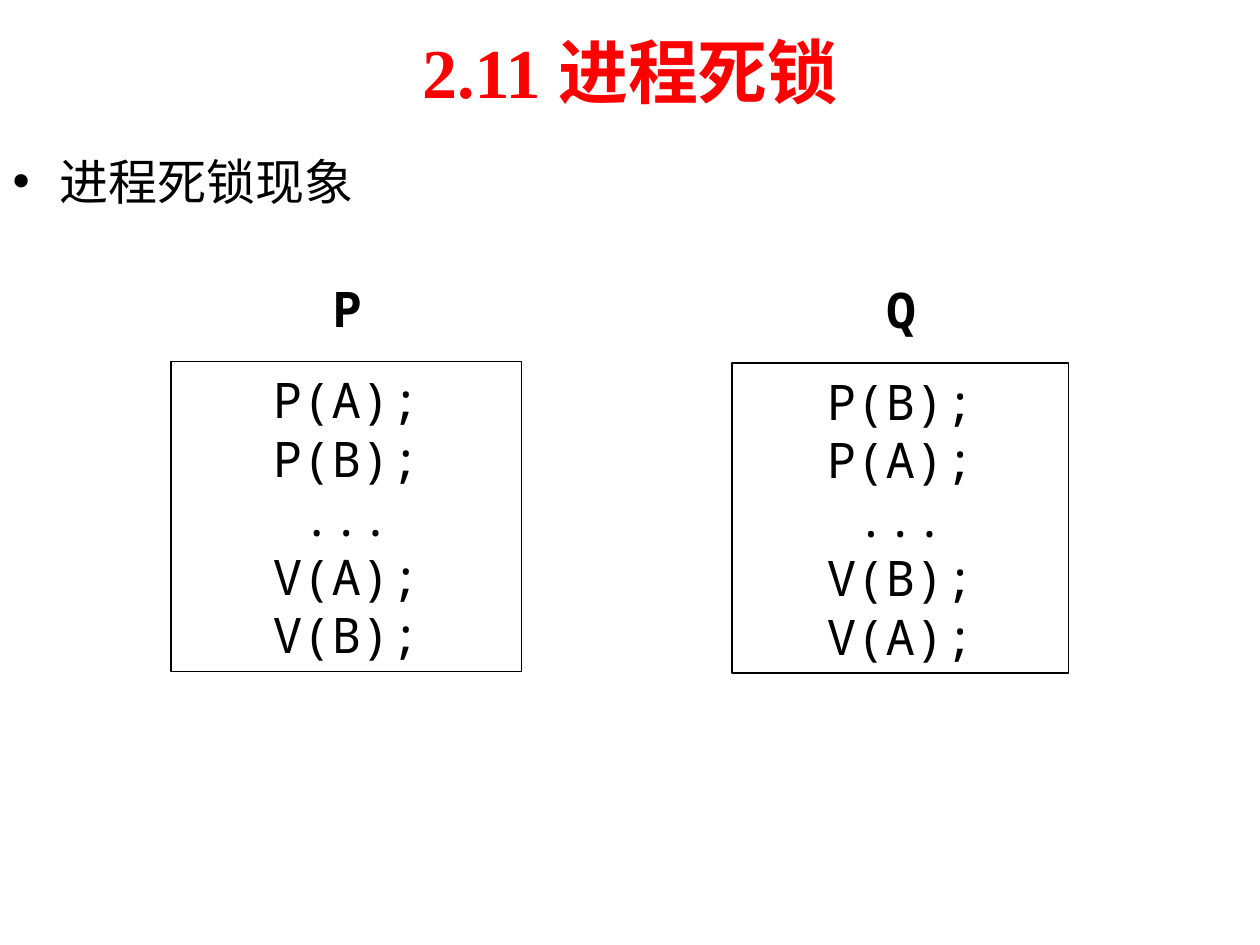
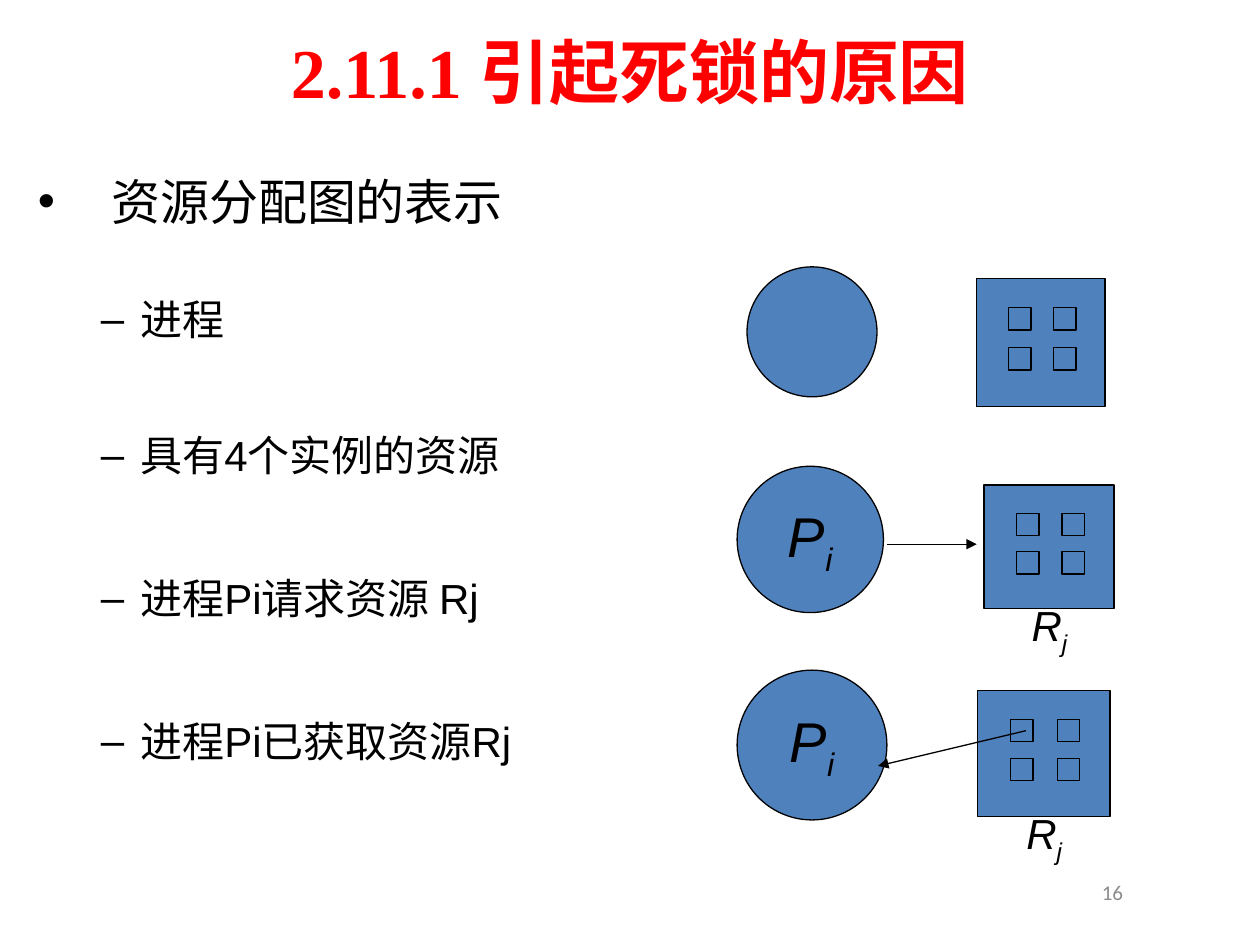
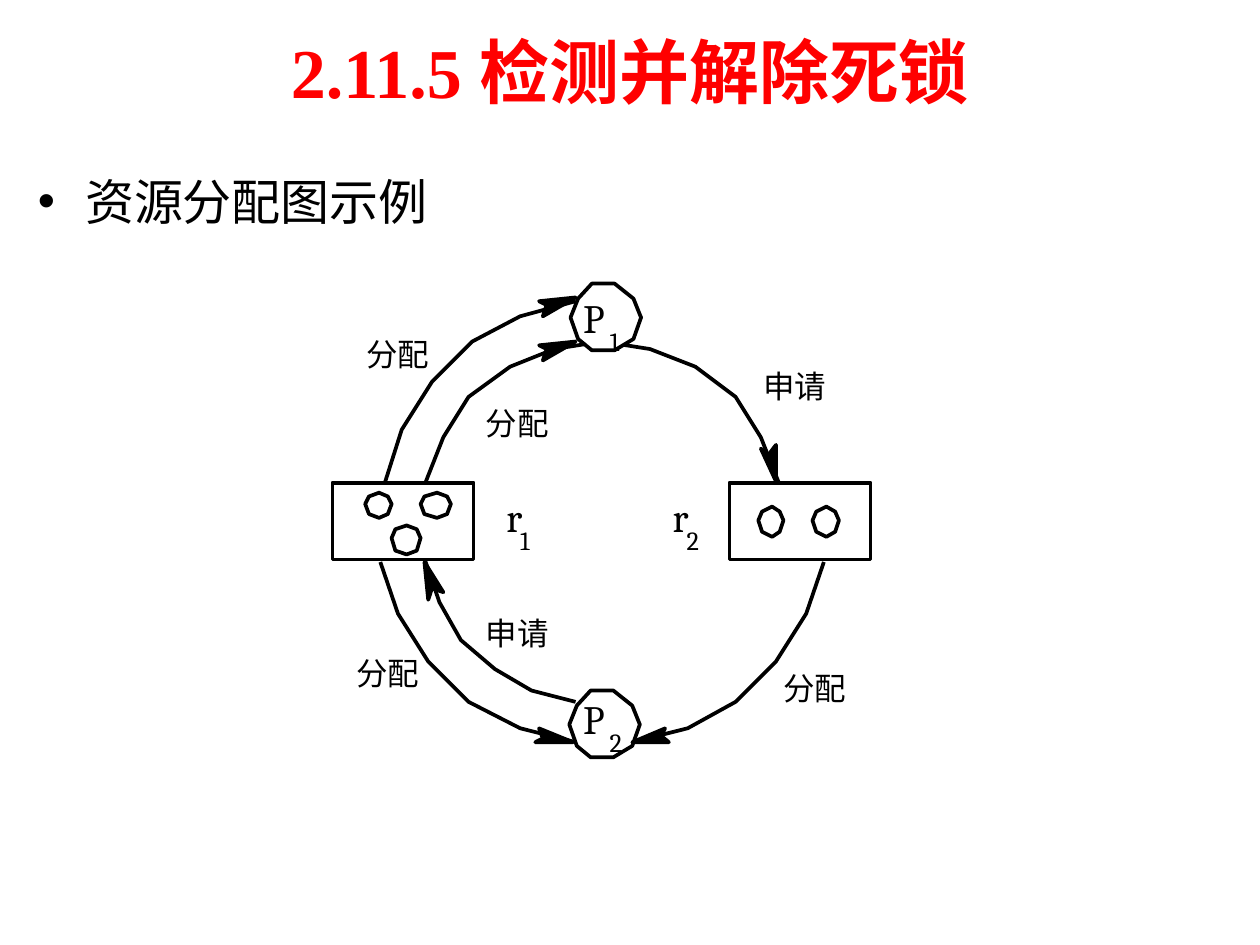
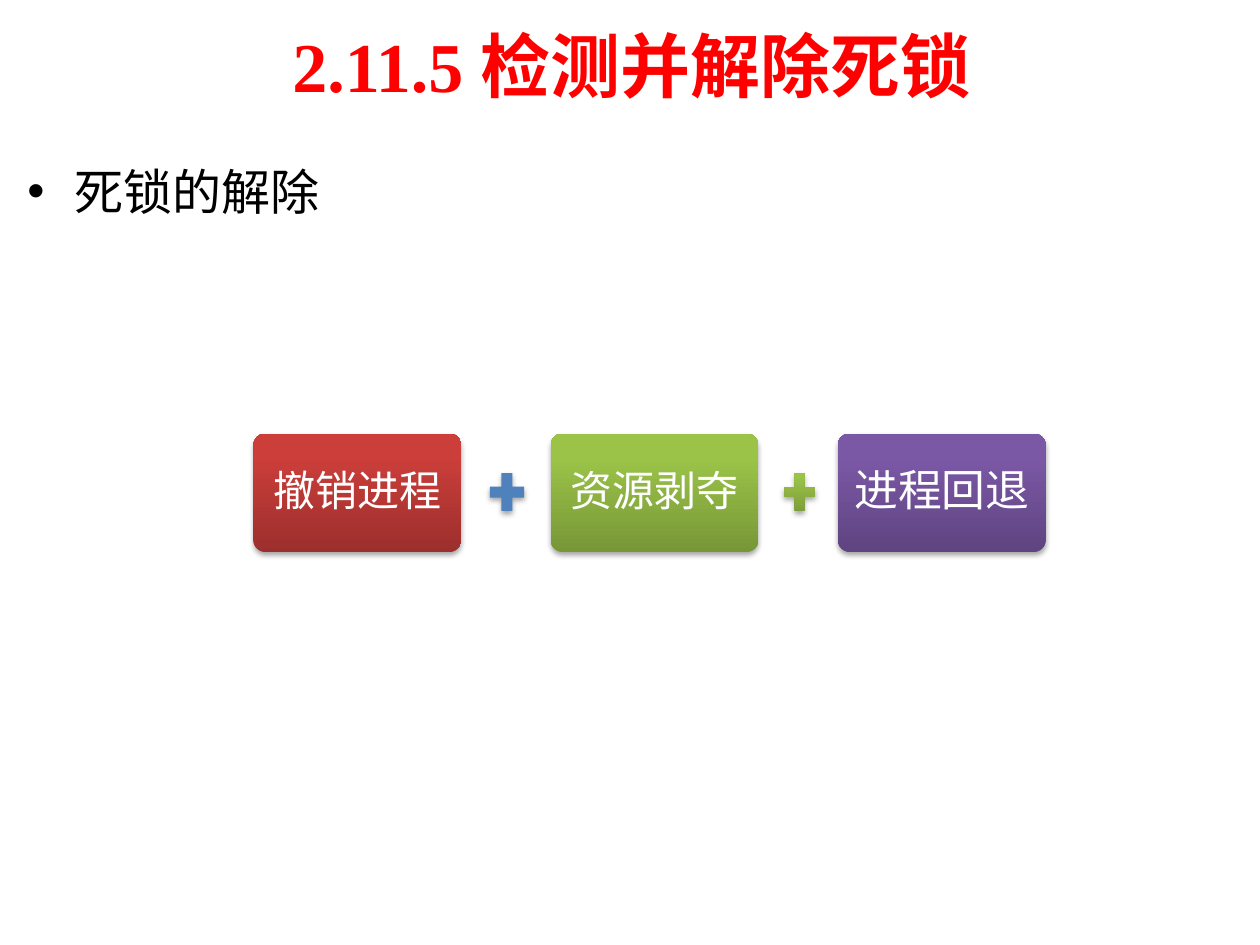
import lxml.etree
import pptx
import pptx.dml.color
import pptx.enum.shapes
import pptx.enum.text
import pptx.oxml
import pptx.oxml.ns
import pptx.util

Cm, Pt = pptx.util.Cm, pptx.util.Pt
RGBColor = pptx.dml.color.RGBColor
SHAPE = pptx.enum.shapes.MSO_SHAPE
ALIGN = pptx.enum.text.PP_ALIGN
ANCHOR = pptx.enum.text.MSO_ANCHOR

# Shared colours and fonts
RED = RGBColor(0xFF, 0x00, 0x00)
BLACK = RGBColor(0x00, 0x00, 0x00)
WHITE = RGBColor(0xFF, 0xFF, 0xFF)
GREY = RGBColor(0x8C, 0x8C, 0x8C)
BLUE = RGBColor(0x4F, 0x81, 0xBD)
RED_GRADIENT = [RGBColor(0x9C, 0x2F, 0x2D), RGBColor(0xCB, 0x3E, 0x3A)]
GREEN_GRADIENT = [RGBColor(0x77, 0x97, 0x37), RGBColor(0x9B, 0xC3, 0x48)]
PURPLE_GRADIENT = [RGBColor(0x5F, 0x44, 0x80), RGBColor(0x7B, 0x58, 0xA6)]
SERIF, SANS, MONO = "Times New Roman", "Arial", "Noto Sans Mono"
SYMBOL, OFFICE = "Cambria", "Calibri"

TITLE_BOX = (1.27, 0.13, 22.86, 2.59)
BODY_BOX = (0.51, 3.33, 22.86, 12.57)

# The allocation graph uses a grid of 100 units to 2.54 cm
UNIT = Cm(2.54) / 100
UNIT_CM = 2.54 / 100
OCTAGON = [(0, .45), (.14, .15), (.53, 0), (.86, .15),
           (1, .45), (.86, .85), (.53, 1), (.14, .85)]
DECAGON = [(0, .51), (.11, .23), (.3, 0), (.63, 0), (.89, .23),
           (1, .51), (.89, .83), (.63, 1), (.3, 1), (.11, .83)]


# Shared helpers; every box is (left, top, width, height) in cm
def lengths(box):
    return [Cm(value) for value in box]


def set_font(paragraph, name, size, color=BLACK, bold=None, italic=None):
    font = paragraph.font
    font.name, font.size, font.bold, font.italic = name, Pt(size), bold, italic
    font.color.rgb = color


def paint(shape, fill=None, line=BLACK, width=0.75):
    """Fill with nothing, one colour, or a list of two gradient colours."""
    shape.shadow.inherit = False
    if fill is None:
        shape.fill.background()
    elif isinstance(fill, list):
        shape.fill.gradient()
        shape.fill.gradient_angle = 90
        for stop, color, position in zip(shape.fill.gradient_stops, fill, (0, 0.8)):
            stop.color.rgb = color
            stop.position = position
    else:
        shape.fill.solid()
        shape.fill.fore_color.rgb = fill
    if line is None:
        shape.line.fill.background()
    else:
        shape.line.color.rgb = line
        shape.line.width = Pt(width)


def add_shape(slide, kind, box, fill=None, line=BLACK, width=0.75):
    shape = slide.shapes.add_shape(kind, *lengths(box))
    paint(shape, fill, line, width)
    return shape


def add_text(slide, box, text, name, size, color=BLACK, align=ALIGN.LEFT,
             bold=None, wrap=True, inset=True):
    frame = slide.shapes.add_textbox(*lengths(box)).text_frame
    frame.word_wrap = wrap
    if not inset:
        frame.margin_left = frame.margin_right = 0
        frame.margin_top = frame.margin_bottom = 0
    paragraph = frame.paragraphs[0]
    paragraph.text = text
    paragraph.alignment = align
    set_font(paragraph, name, size, color, bold)
    return frame


def write_subscripted(frame, letter, subscript, size):
    frame.word_wrap = False
    frame.vertical_anchor = ANCHOR.MIDDLE
    paragraph = frame.paragraphs[0]
    paragraph.alignment = ALIGN.CENTER
    set_font(paragraph, SANS, size, italic=True)
    for text in (letter, subscript):
        run = paragraph.add_run()
        run.text = text
    run.font._element.set("baseline", "-25000")


def add_arrow(slide, start, end):
    arrow = slide.shapes.add_connector(
        pptx.enum.shapes.MSO_CONNECTOR.STRAIGHT, *lengths(start + end))
    arrow.line.color.rgb = BLACK
    arrow.line.width = Pt(0.75)
    line = arrow.line._get_or_add_ln()
    lxml.etree.SubElement(line, pptx.oxml.ns.qn("a:tailEnd"), type="triangle")
    lxml.etree.SubElement(arrow._element.spPr, pptx.oxml.ns.qn("a:effectLst"))


def add_slide(presentation, title, heading, title_box=TITLE_BOX, body_box=BODY_BOX):
    slide = presentation.slides.add_slide(presentation.slide_layouts[1])
    body = slide.placeholders[1]
    for shape, box in ((slide.shapes.title, title_box), (body, body_box)):
        shape.left, shape.top, shape.width, shape.height = lengths(box)
    slide.shapes.title.text_frame.text = title
    set_font(slide.shapes.title.text_frame.paragraphs[0], SERIF, 40, RED, bold=True)
    body.text_frame.text = heading
    set_font(body.text_frame.paragraphs[0], SERIF, 28)
    return slide


# Slide 1: two processes that lock each other
def add_process_code(slide, box, name, lines):
    left, top, width, height = box
    add_text(slide, (left + width / 2 - 0.53, top - 1.81, 1.07, 1.45), name, MONO, 28,
             align=ALIGN.CENTER, bold=True, wrap=False)
    frame = add_shape(slide, SHAPE.RECTANGLE, box).text_frame
    frame.text = "\n".join(lines)
    for paragraph in frame.paragraphs:
        paragraph.alignment = ALIGN.CENTER
        set_font(paragraph, MONO, 28)


def build_deadlock_slide(presentation):
    slide = add_slide(presentation, "2.11 进程死锁", "进程死锁现象",
                      body_box=(0, 2.92, 25.4, 14.4))
    add_process_code(slide, (3.45, 7.29, 7.06, 6.25), "P",
                     ["P(A);", "P(B);", "...", "V(A);", "V(B);"])
    add_process_code(slide, (14.76, 7.32, 6.78, 6.25), "Q",
                     ["P(B);", "P(A);", "...", "V(B);", "V(A);"])


# Slide 2: notation of the allocation graph
def add_resource(slide, box, label=False):
    left, top, width, height = box
    add_shape(slide, SHAPE.RECTANGLE, box, BLUE)
    for row in (0.23, 0.54):
        for column in (0.25, 0.6):
            add_shape(slide, SHAPE.RECTANGLE,
                      (left + column * width, top + row * height, 0.45, 0.45), BLUE)
    if label:
        label_box = (left + width / 2 - 0.62, top + height - 0.25, 1.25, 1.3)
        frame = slide.shapes.add_textbox(*lengths(label_box)).text_frame
        write_subscripted(frame, "R", "j", 24)


def add_process(slide, box, label=False):
    circle = add_shape(slide, SHAPE.OVAL, box, BLUE)
    if label:
        write_subscripted(circle.text_frame, "P", "i", 32)


def build_notation_slide(presentation):
    slide = add_slide(presentation, "2.11.1 引起死锁的原因", "资源分配图的表示")
    frame = slide.placeholders[1].text_frame
    properties = frame.paragraphs[0]._p.get_or_add_pPr()
    properties.set("marL", str(Cm(1.48)))
    properties.set("indent", str(-Cm(1.48)))
    for text, gap in (("进程", 36), ("具有4个实例的资源", 49),
                      ("进程Pi请求资源 Rj", 53), ("进程Pi已获取资源Rj", 53)):
        paragraph = frame.add_paragraph()
        paragraph.text = text
        paragraph.level = 1
        paragraph.space_before = Pt(gap)
        set_font(paragraph, SANS, 24)

    rows = [((15.06, 5.38, 2.62, 2.62), (19.69, 5.61, 2.59, 2.59), False),
            ((14.86, 9.4, 2.95, 2.95), (19.84, 9.78, 2.62, 2.49), True),
            ((14.86, 13.51, 3.02, 3.02), (19.71, 13.92, 2.67, 2.54), True)]
    for process_box, resource_box, label in rows:
        add_process(slide, process_box, label)
        add_resource(slide, resource_box, label)
    add_arrow(slide, (17.88, 10.97), (19.69, 10.97))
    add_arrow(slide, (20.68, 14.73), (17.7, 15.44))

    number = add_text(slide, (16.97, 17.48, 5.92, 1.02), "16", OFFICE, 12, GREY, ALIGN.RIGHT)
    number.vertical_anchor = ANCHOR.MIDDLE


# Slide 3: example of an allocation graph, drawn in grid units from its box
ARCS = [
    [(77, 165), (92, 127), (112, 95), (145, 71), (180, 57), (218, 51),
     (256, 57), (292, 71), (324, 95), (344, 127), (359, 165)],
    [(77, 223), (89, 258), (106, 288), (133, 311), (162, 328), (197, 337)],
    [(42, 226), (56, 267), (80, 305), (112, 337), (153, 358), (197, 369),
     (242, 369), (286, 358), (324, 337), (356, 305), (380, 267), (394, 226)],
    [(45, 165), (59, 121), (83, 83), (115, 51), (153, 31), (197, 19)],
]
ARROWHEADS = [
    [(168, 19), (174, 22), (171, 31), (197, 16)],
    [(168, 54), (174, 57), (171, 66), (197, 51)],
    [(356, 133), (350, 141), (344, 136), (356, 162)],
    [(80, 256), (83, 247), (92, 250), (77, 226)],
    [(168, 358), (171, 366), (165, 369), (195, 369)],
    [(271, 369), (265, 364), (268, 358), (242, 369)],
]
EDGE_LABELS = [("申请", 336, 66), ("分配", 352, 306), ("申请", 116, 262),
               ("分配", 13, 294), ("分配", 116, 96), ("分配", 21, 41)]


def build_graph(slide, graph_box):
    origin = graph_box[:2]

    def grid_box(left, top, width, height):
        return (origin[0] + left * UNIT_CM, origin[1] + top * UNIT_CM,
                width * UNIT_CM, height * UNIT_CM)

    def outline(points, closed=True, fill=None):
        builder = slide.shapes.build_freeform(*points[0], scale=UNIT)
        builder.add_line_segments(points[1:], close=closed)
        paint(builder.convert_to_shape(*lengths(origin)), fill, width=2.13)

    def polygon(corners, left, top, width, height, fill=None):
        outline([(left + x * width, top + y * height) for x, y in corners], fill=fill)

    def symbol(letter, index, left, top, letter_width):
        add_text(slide, grid_box(left, top, letter_width, 38), letter, SYMBOL, 23,
                 wrap=False, inset=False)
        add_text(slide, grid_box(left + letter_width, top + 25, 12, 25), index, SYMBOL, 15,
                 wrap=False, inset=False)

    # Edges
    for arc in ARCS:
        outline(arc, closed=False)
    # Processes
    polygon(DECAGON, 193, 5, 56, 53, WHITE)
    polygon(DECAGON, 192, 328, 56, 53, WHITE)
    # Resources and their instances
    for left in (4, 319):
        add_shape(slide, SHAPE.RECTANGLE, grid_box(left, 163, 112, 61), WHITE, width=2.13)
    for instance in ((30, 171, 21, 20), (74, 171, 24, 20), (51, 197, 23, 23),
                     (342, 182, 20, 24), (385, 182, 21, 24)):
        polygon(OCTAGON, *instance)
    # Arrowheads
    for head in ARROWHEADS:
        outline(head, fill=BLACK)
    # Names and edge labels
    symbol("P", "1", 203, 13, 21)
    symbol("P", "2", 203, 331, 21)
    symbol("r", "1", 142, 171, 11)
    symbol("r", "2", 274, 171, 11)
    for text, left, top in EDGE_LABELS:
        add_text(slide, grid_box(left, top, 79, 40), text, SANS, 18)


def build_example_slide(presentation):
    slide = add_slide(presentation, "2.11.5 检测并解除死锁", "资源分配图示例")
    build_graph(slide, (6.6, 5.59, 10.95, 9.68))


# Slide 4: ways to resolve a deadlock
def add_soft_shadow(shape):
    effects = shape._element.spPr.find(pptx.oxml.ns.qn("a:effectLst"))
    effects.append(pptx.oxml.parse_xml(
        f'<a:outerShdw {pptx.oxml.ns.nsdecls("a")} blurRad="{Pt(3.1)}" dist="{Pt(1.8)}" '
        'dir="5400000" rotWithShape="0"><a:srgbClr val="000000">'
        '<a:alpha val="35000"/></a:srgbClr></a:outerShdw>'))


def add_method(slide, box, text, gradient, size):
    card = add_shape(slide, SHAPE.ROUNDED_RECTANGLE, box, gradient, None)
    card.adjustments[0] = 0.1
    add_soft_shadow(card)
    frame = card.text_frame
    frame.margin_left = frame.margin_right = Cm(0.25)
    frame.vertical_anchor = ANCHOR.MIDDLE
    paragraph = frame.paragraphs[0]
    paragraph.text = text
    paragraph.alignment = ALIGN.CENTER
    paragraph.line_spacing = 0.9
    set_font(paragraph, OFFICE, size, WHITE)


def build_resolution_slide(presentation):
    slide = add_slide(presentation, "2.11.5 检测并解除死锁", "死锁的解除",
                      (1.3, 0, 22.86, 2.59), (0.3, 3.12, 22.86, 12.57))
    for left, text, gradient, size in ((5.11, "撤销进程", RED_GRADIENT, 24),
                                       (11.1, "资源剥夺", GREEN_GRADIENT, 24),
                                       (16.89, "进程回退", PURPLE_GRADIENT, 25)):
        add_method(slide, (left, 8.74, 4.19, 2.39), text, gradient, size)
    for left, width, fill in ((9.75, 0.94, BLUE), (15.7, 0.84, GREEN_GRADIENT)):
        plus = add_shape(slide, SHAPE.MATH_PLUS, (left, 9.4, width, 1.04), fill, None)
        add_soft_shadow(plus)


def main():
    presentation = pptx.Presentation()
    presentation.slide_width, presentation.slide_height = Cm(25.4), Cm(19.05)
    build_deadlock_slide(presentation)
    build_notation_slide(presentation)
    build_example_slide(presentation)
    build_resolution_slide(presentation)
    presentation.save("out.pptx")


if __name__ == "__main__":
    main()
